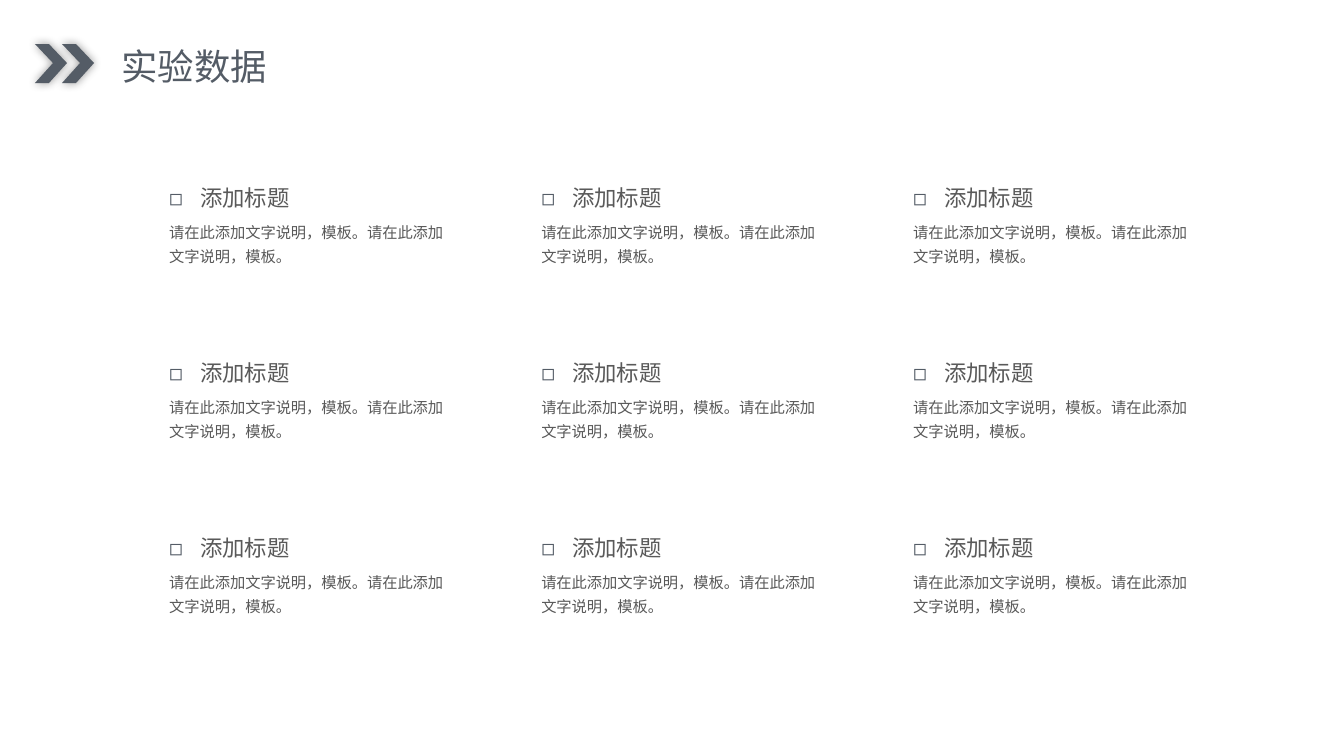
from dataclasses import dataclass
from itertools import product

from lxml import etree
from pptx import Presentation
from pptx import util as u
from pptx.dml.color import RGBColor
from pptx.enum import text
from pptx.oxml.ns import qn

PX = 914400 / 134.4
SLATE = RGBColor(0x54, 0x5C, 0x66)
GREY = RGBColor(0x59, 0x59, 0x59)
FONT = "Noto Sans CJK SC"
COLUMNS = [156 + 372 * i for i in range(3)]
ROWS = [177 + 175 * i for i in range(3)]
CHEVRON = [(18, 19), (0, 39), (14, 39), (32, 19), (14, 0), (0, 0)]


@dataclass(frozen=True)
class Style:
    size: float
    line: float
    color: RGBColor
    wrap: bool = True
    bullet: str = ""


@dataclass(frozen=True)
class Block:
    """A text box, placed relative to the corner of its grid cell."""
    words: str
    left: int
    top: int
    width: int
    height: int
    style: Style


TITLE = Block("实验数据", 108, 36, 175, 58, Style(19.5, 24, SLATE, wrap=False))
CELL = [
    Block("添加标题", 0, 0, 163, 40, Style(12, 14.5, GREY, bullet="◻")),
    Block("请在此添加文字说明，模板。请在此添加文字说明，模板。", 0, 34, 301, 62,
          Style(8.2, 12.9, GREY)),
]


def px(value: int) -> int:
    return round(value * PX)


def set_values(target, values: dict) -> None:
    for name, value in values.items():
        setattr(target, name, value)


def add_bullet(para, mark: str) -> None:
    props = para._p.get_or_add_pPr()
    indent = px(31)
    props.set("marL", str(indent))
    props.set("indent", str(-indent))
    color = etree.SubElement(props, qn("a:buClr"))
    etree.SubElement(color, qn("a:srgbClr"), val=str(SLATE))
    etree.SubElement(props, qn("a:buFont"), typeface=FONT)
    etree.SubElement(props, qn("a:buChar"), char=mark)


def write_block(box, block: Block, left: int = 0, top: int = 0) -> None:
    style = block.style
    set_values(box, {
        "left": px(left + block.left), "top": px(top + block.top),
        "width": px(block.width), "height": px(block.height),
    })
    set_values(box.text_frame, {
        "word_wrap": style.wrap,
        "auto_size": text.MSO_AUTO_SIZE.SHAPE_TO_FIT_TEXT,
        "vertical_anchor": text.MSO_ANCHOR.TOP,
    })
    para = box.text_frame.paragraphs[0]
    if style.bullet:
        add_bullet(para, style.bullet)
    set_values(para, {"alignment": text.PP_ALIGN.LEFT, "line_spacing": u.Pt(style.line)})
    span = para.add_run()
    span.text = block.words
    set_values(span.font, {"size": u.Pt(style.size), "name": FONT})
    span.font.color.rgb = style.color
    latin = span.font._element.find(qn("a:latin"))
    latin.addnext(etree.Element(qn("a:ea"), typeface=FONT))


def add_chevron(page, left: int, top: int) -> None:
    points = [(left + x, top + y) for x, y in CHEVRON]
    builder = page.shapes.build_freeform(*points[0], scale=PX)
    builder.add_line_segments(points[1:], close=True)
    shape = builder.convert_to_shape()
    shape.shadow.inherit = False
    shape.fill.solid()
    shape.fill.fore_color.rgb = SLATE
    shape.line.fill.background()
    effects = shape._element.spPr.find(qn("a:effectLst"))
    glow = etree.SubElement(effects, qn("a:outerShdw"), blurRad=str(u.Pt(5)),
                            dist="0", dir="0", algn="ctr", rotWithShape="0")
    color = etree.SubElement(glow, qn("a:srgbClr"), val="000000")
    etree.SubElement(color, qn("a:alpha"), val="40000")


def main() -> None:
    deck = Presentation()
    set_values(deck, {"slide_width": px(1344), "slide_height": px(756)})
    page = deck.slides.add_slide(deck.slide_layouts.get_by_name("Title Only"))
    for left in (62, 35):
        add_chevron(page, left, 44)
    write_block(page.shapes.title, TITLE)
    for left, top in product(COLUMNS, ROWS):
        for block in CELL:
            write_block(page.shapes.add_textbox(0, 0, 0, 0), block, left, top)
    deck.save("out.pptx")


if __name__ == "__main__":
    main()
